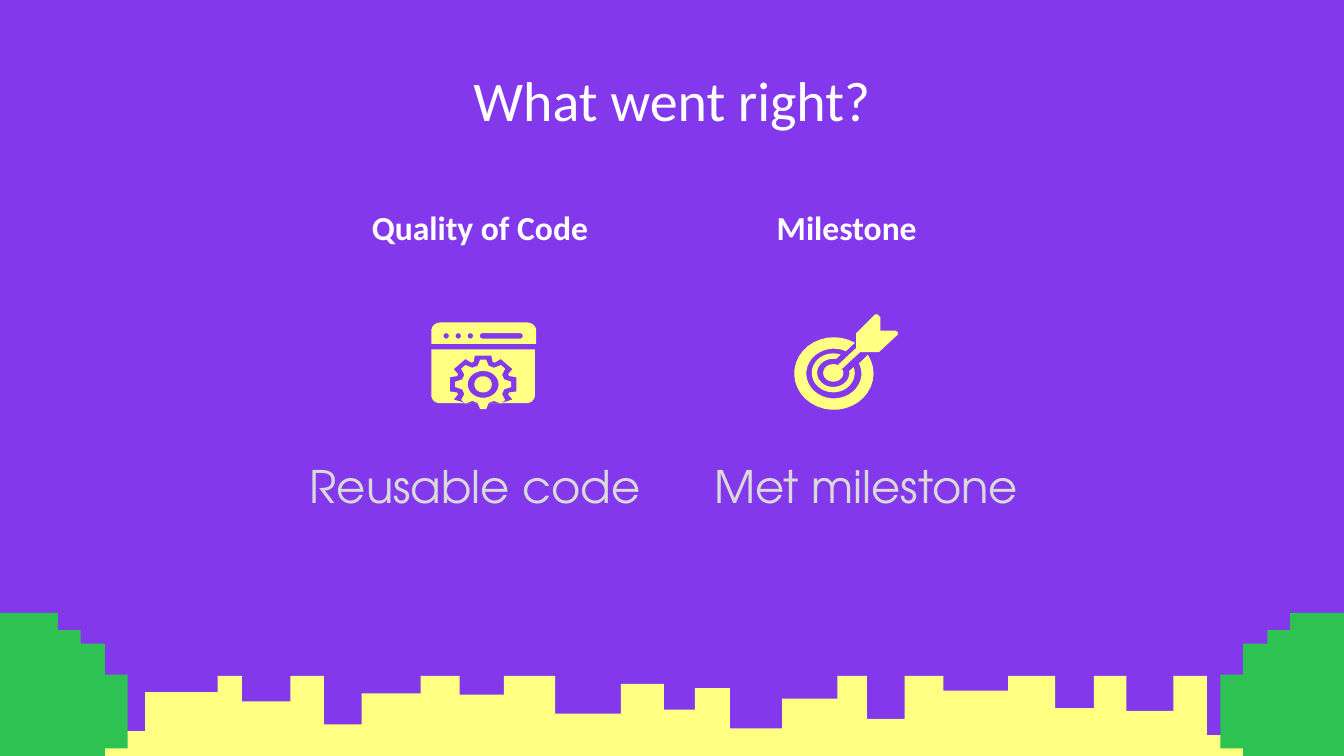
from math import cos, radians, sin

from pptx import Presentation
from pptx.dml.color import RGBColor
from pptx.enum.text import MSO_ANCHOR, PP_ALIGN
from pptx.util import Pt

PX = 9144
CENTER, TOP = PP_ALIGN.CENTER, MSO_ANCHOR.TOP
PURPLE = RGBColor(0x83, 0x38, 0xEC)
YELLOW = RGBColor(0xFF, 0xFF, 0x82)
GREEN = RGBColor(0x2D, 0xC2, 0x52)
WHITE = RGBColor(0xFF, 0xFF, 0xFF)
GRAY = RGBColor(0xD9, 0xD9, 0xD9)

TITLE = ("What went right?", (78, 49, 844, 51))
HEADINGS = [
    ("Quality of Code ", (260, 154, 200, 50)),
    ("Milestone", (514, 154, 232, 50)),
]
DETAILS = [
    ("Reusable code", (179, 341, 299, 136)),
    ("Met milestone", (470, 341, 299, 100)),
]
TITLE_FONT = {"name": "Calibri", "size": Pt(30), "bold": False}
HEADING_FONT = {"name": "Calibri", "size": Pt(18), "bold": True}
DETAIL_FONT = {"name": "TeX Gyre Adventor", "size": Pt(24), "bold": False}
DETAIL_INDENT = 50

SKYLINE = [
    (-2, 520), (45, 503), (83, 544), (108, 515), (162, 503), (180, 522),
    (216, 503), (241, 539), (269, 516), (313, 503), (342, 517), (375, 503),
    (413, 531), (462, 509), (494, 528), (517, 512), (543, 542), (582, 520),
    (623, 503), (645, 535), (673, 503), (702, 514), (750, 503), (785, 527),
    (814, 503), (838, 529), (873, 503), (898, 547), (929, 520), (965, 503),
    (987, 530), (1000, 503),
]
SKYLINE_RIGHT, SKYLINE_BOTTOM = 1007, 833
BUSH_ROWS = [(456, 32), (469, 49), (479, 67), (502, 84), (557, 67), (591, 49)]
BUSH_BOTTOM = 603
BUSH_CENTERS = [992, 11]

ARROW_TAIL = [(653, 234), (651, 234), (638, 247), (637, 248), (637, 259), (623, 272)]
ARROW_HEAD = [(626, 275), (640, 262), (652, 262), (654, 262), (668, 249),
              (668, 247), (666, 246), (655, 246), (655, 236)]


def arc(cx, cy, rx, ry, start=0, end=360, steps=32):
    angles = [radians(start + (end - start) * i / steps) for i in range(steps + 1)]
    return [(cx + rx * cos(a), cy + ry * sin(a)) for a in angles]


def gear(cx, cy, rx, ry, root, tip, base):
    points = []
    for tooth in range(90, -270, -45):
        for offset, size in ((base, root), (tip, 1), (-tip, 1), (-base, root)):
            a = radians(tooth + offset)
            points.append((cx + rx * size * cos(a), cy + ry * size * sin(a)))
    return points


def open_ring(center, outer, inner, outer_span, inner_span):
    return arc(*center, *outer, *outer_span) + arc(*center, *inner, *inner_span)


def draw(shapes, color, *contours):
    scaled = [[(x * PX, y * PX) for x, y in c] for c in contours]
    builder = shapes.build_freeform(*scaled[0][0])
    for i, contour in enumerate(scaled):
        if i:
            builder.move_to(*contour[0])
        builder.add_line_segments(contour[1:], close=True)
    sp = builder.convert_to_shape()
    sp.shadow.inherit = False
    sp.fill.solid()
    sp.fill.fore_color.rgb = color
    sp.line.fill.background()


def write(sp, text, box, font, color, indent=0):
    sp.left, sp.top, sp.width, sp.height = [v * PX for v in box]
    tf = sp.text_frame
    tf.word_wrap = True
    tf.vertical_anchor = TOP
    for side in ("left", "top", "right", "bottom"):
        setattr(tf, f"margin_{side}", 0)
    p = tf.paragraphs[0]
    p.alignment = CENTER
    if indent:
        p._p.get_or_add_pPr().set("marL", str(indent * PX))
    r = p.add_run()
    r.text = text
    for key, value in font.items():
        setattr(r.font, key, value)
    r.font.color.rgb = color


def draw_scenery(shapes):
    ground = [(SKYLINE[0][0], SKYLINE_BOTTOM)]
    rights = [x for x, _ in SKYLINE[1:]] + [SKYLINE_RIGHT]
    for (left, top), right in zip(SKYLINE, rights):
        ground += [(left, top), (right, top)]
    draw(shapes, YELLOW, ground + [(SKYLINE_RIGHT, SKYLINE_BOTTOM)])

    bottoms = [y for y, _ in BUSH_ROWS[1:]] + [BUSH_BOTTOM]
    side = []
    for (top, half), bottom in zip(BUSH_ROWS, bottoms):
        side += [(half, top), (half, bottom)]
    for cx in BUSH_CENTERS:
        draw(shapes, GREEN, [(cx + h, y) for h, y in side] + [(cx - h, y) for h, y in side[::-1]])


def draw_code_icon(shapes):
    left, right, bottom = 321, 399, 300
    hub = (359.5, 286)
    dots = [arc(x, 250, 2, 2) for x in (332, 341, 350)]
    pill = arc(359, 250, 2, 2, 90, 270) + arc(387, 250, 2, 2, -90, 90)
    bar = arc(328, 246, 7, 6, 180, 270) + arc(392, 246, 7, 6, -90, 0)
    draw(shapes, YELLOW, bar + [(right, 256), (left, 256)], pill, *dots)

    notch = [(x, min(y, bottom)) for x, y in gear(*hub, 25.5, 22, 0.81, 14, 20)]
    body = arc(327, 294, 6, 6, 90, 180) + [(left, 260), (right - 1, 260)]
    draw(shapes, YELLOW, body + arc(392, 294, 6, 6, 0, 90) + notch)
    draw(shapes, YELLOW, arc(*hub, 6.5, 6))
    draw(shapes, YELLOW, gear(*hub, 21, 18.5, 0.77, 6, 15), arc(*hub, 11.5, 10))


def draw_target_icon(shapes):
    center = (620, 277.5)
    draw(shapes, YELLOW, ARROW_TAIL + arc(*center, 7.5, 6.5, -65, -380) + ARROW_HEAD)
    draw(shapes, YELLOW, open_ring(center, (16, 14.5), (12, 10.5), (-17, 290), (280, -8)))
    draw(shapes, YELLOW, open_ring((620.5, 278), (29.5, 27), (20.5, 18.5), (-31, 302), (296, -24)))


prs = Presentation()
prs.slide_width = 1000 * PX
prs.slide_height = prs.slide_width * 9 // 16
s = prs.slides.add_slide(prs.slide_layouts[5])
s.background.fill.solid()
s.background.fill.fore_color.rgb = PURPLE

draw_scenery(s.shapes)
write(s.shapes.title, *TITLE, TITLE_FONT, WHITE)
for text, box in HEADINGS:
    write(s.shapes.add_textbox(0, 0, 0, 0), text, box, HEADING_FONT, WHITE)
for text, box in DETAILS:
    write(s.shapes.add_textbox(0, 0, 0, 0), text, box, DETAIL_FONT, GRAY, DETAIL_INDENT)
for draw_icon in (draw_code_icon, draw_target_icon):
    draw_icon(s.shapes.add_group_shape().shapes)

prs.save("out.pptx")
